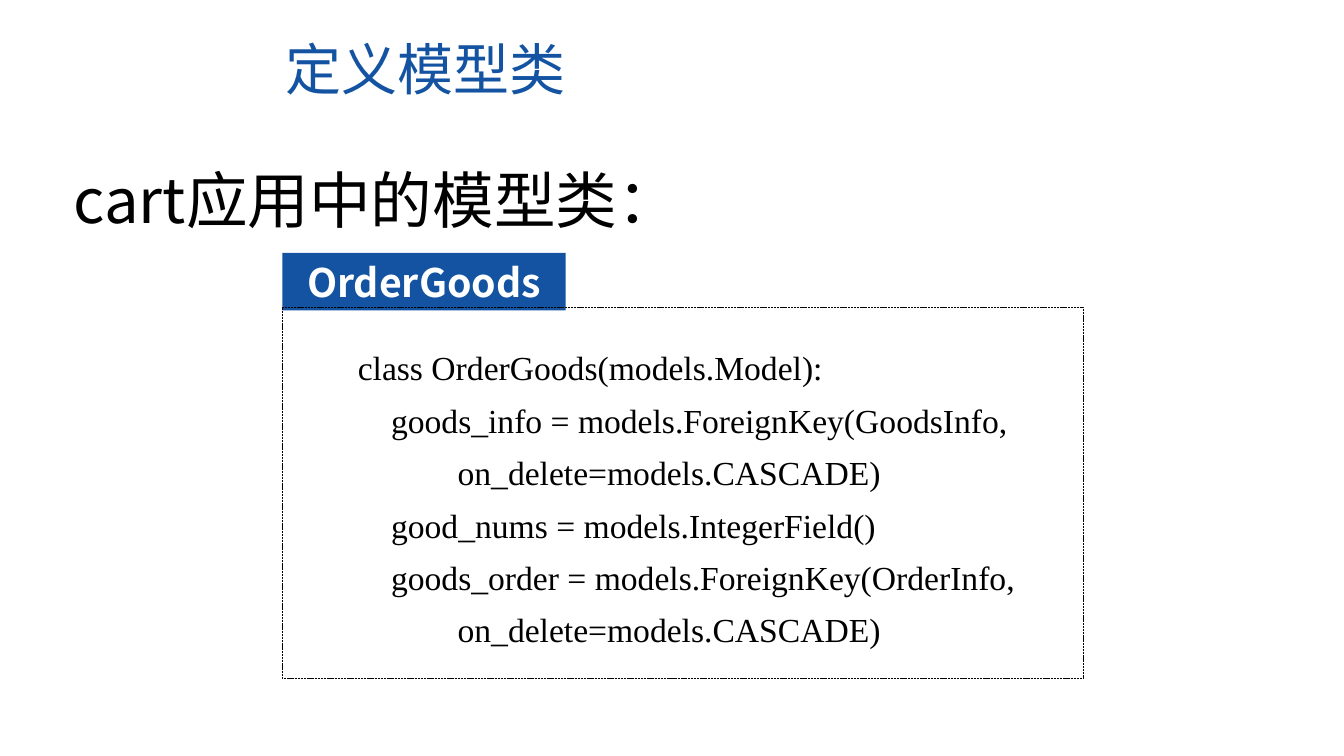
"""Build the slide that presents the OrderGoods model class."""
import dataclasses
import typing

import pptx
import pptx.dml.color
import pptx.enum.dml
import pptx.enum.shapes
import pptx.enum.text
import pptx.oxml.ns
import pptx.util

Inches = pptx.util.Inches
ALIGN = pptx.enum.text.PP_ALIGN
COLORS = {"blue": "1353A2", "black": "000000", "white": "FFFFFF"}
SANS = "Noto Sans CJK SC"
SERIF = "Times New Roman"
INDENT_STEP = 0.33


class Line(typing.NamedTuple):
    text: str
    level: int = 0


@dataclasses.dataclass
class Block:
    left: float
    top: float
    width: float
    height: float
    lines: list[Line]
    size: int
    color: str
    font: str = SANS
    bold: bool = False
    align: ALIGN = ALIGN.LEFT
    spacing: float = 1.0


TITLE = Block(2.73, 0.29, 5.88, 0.77, [Line("定义模型类")], 40, "blue")
HEADING = Block(0.63, 1.44, 12.29, 0.91, [Line("cart应用中的模型类：")], 44, "black",
                spacing=1.2)
TAG = Block(2.8, 2.51, 2.81, 0.57, [Line("OrderGoods")], 28, "white",
            bold=True, align=ALIGN.CENTER)
CODE = Block(3.45, 3.26, 6.72, 3.25, [
    Line("class OrderGoods(models.Model):"),
    Line("goods_info = models.ForeignKey(GoodsInfo,", 1),
    Line("on_delete=models.CASCADE)", 3),
    Line("good_nums = models.IntegerField()", 1),
    Line("goods_order = models.ForeignKey(OrderInfo,", 1),
    Line("on_delete=models.CASCADE)", 3),
], 24, "black", SERIF, spacing=1.3)
FRAME = (2.8, 3.05, 7.95, 3.68)


def rgb(name: str) -> pptx.dml.color.RGBColor:
    return pptx.dml.color.RGBColor.from_string(COLORS[name])


def apply(target: typing.Any, values: dict[str, typing.Any]) -> None:
    for name, value in values.items():
        setattr(target, name, value)


def write_text(box: typing.Any, block: Block) -> None:
    apply(box, {name: Inches(getattr(block, name))
                for name in ("left", "top", "width", "height")})
    frame = box.text_frame
    apply(frame, {"word_wrap": True,
                  "auto_size": pptx.enum.text.MSO_AUTO_SIZE.NONE,
                  "vertical_anchor": pptx.enum.text.MSO_ANCHOR.MIDDLE})
    for index, line in enumerate(block.lines):
        para = frame.add_paragraph() if index else frame.paragraphs[0]
        apply(para, {"alignment": block.align, "line_spacing": block.spacing})
        if line.level:
            margin = Inches(line.level * INDENT_STEP)
            para._p.get_or_add_pPr().set("marL", str(margin))
        span = para.add_run()
        span.text = line.text
        apply(span.font, {"name": block.font, "bold": block.bold,
                          "size": pptx.util.Pt(block.size)})
        span.font.color.rgb = rgb(block.color)
        east_asian = span.font._element.makeelement(
            pptx.oxml.ns.qn("a:ea"), {"typeface": block.font})
        span.font._element.find(pptx.oxml.ns.qn("a:latin")).addnext(east_asian)


def add_rectangle(page: typing.Any, *place: float) -> typing.Any:
    box = page.shapes.add_shape(pptx.enum.shapes.MSO_SHAPE.RECTANGLE,
                                *map(Inches, place))
    box.shadow.inherit = False
    return box


def main() -> None:
    deck = pptx.Presentation()
    apply(deck, {"slide_width": Inches(13.33), "slide_height": Inches(7.5)})
    page = deck.slides.add_slide(deck.slide_layouts.get_by_name("Title Only"))
    write_text(page.shapes.title, TITLE)
    write_text(page.shapes.add_textbox(0, 0, 0, 0), HEADING)

    tag = add_rectangle(page, TAG.left, TAG.top, TAG.width, TAG.height)
    tag.fill.solid()
    tag.fill.fore_color.rgb = rgb("blue")
    tag.line.fill.background()
    write_text(tag, TAG)

    write_text(page.shapes.add_textbox(0, 0, 0, 0), CODE)
    border = add_rectangle(page, *FRAME)
    border.fill.background()
    border.line.color.rgb = rgb("black")
    apply(border.line, {"width": pptx.util.Pt(0.5),
                        "dash_style": pptx.enum.dml.MSO_LINE.SQUARE_DOT})
    deck.save("out.pptx")


if __name__ == "__main__":
    main()
